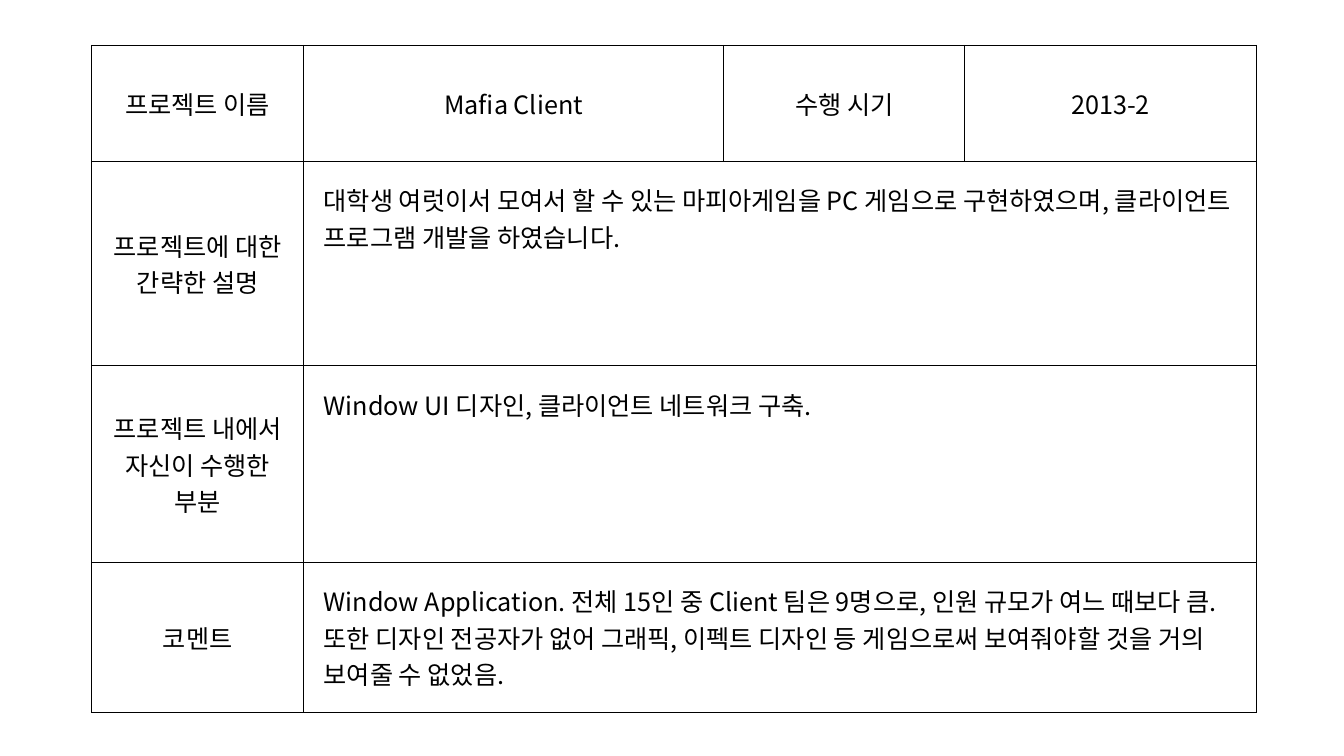
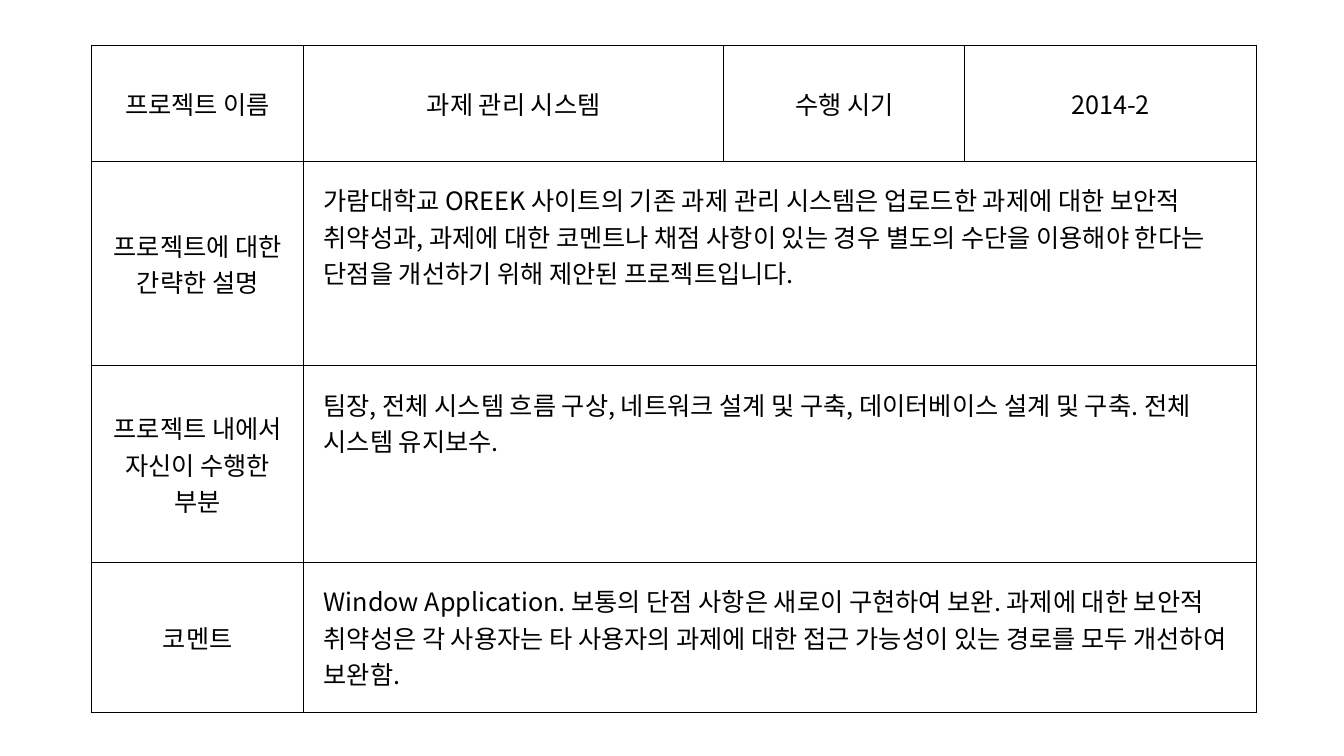
from dataclasses import dataclass

from lxml import etree
from pptx import Presentation
from pptx.dml.color import RGBColor
from pptx.enum import text as t
from pptx.oxml import ns
from pptx.slide import Slide
from pptx.table import Table, _Cell
from pptx.util import Inches, Pt


@dataclass(frozen=True)
class Theme:
    font: str = "Noto Sans CJK KR"
    size: int = 18
    ink: str = "000000"
    paper: str = "FFFFFF"
    border: int = 1


@dataclass(frozen=True)
class Project:
    name: str
    period: str
    summary: str
    role: str
    comment: str


THEME = Theme()
LEFT, TOP = 0.91, 0.45
COLUMNS = (2.1, 4.17, 2.39, 2.89)
ROWS = (1.15, 2.03, 1.95, 1.42)
DETAIL_MARGIN = 0.2

PROJECTS = (
    Project(
        "Mafia Client",
        "2013-2",
        "대학생 여럿이서 모여서 할 수 있는 마피아게임을 PC 게임으로 구현하였으며, "
        "클라이언트 프로그램 개발을 하였습니다.",
        "Window UI 디자인, 클라이언트 네트워크 구축.",
        "Window Application. 전체 15인 중 Client 팀은 9명으로, 인원 규모가 여느 때보다 큼. "
        "또한 디자인 전공자가 없어 그래픽, 이펙트 디자인 등 게임으로써 "
        "보여줘야할 것을 거의 보여줄 수 없었음.",
    ),
    Project(
        "과제 관리 시스템",
        "2014-2",
        "가람대학교 OREEK 사이트의 기존 과제 관리 시스템은 업로드한 과제에 대한 보안적 "
        "취약성과, 과제에 대한 코멘트나 채점 사항이 있는 경우 별도의 수단을 이용해야 한다는 "
        "단점을 개선하기 위해 제안된 프로젝트입니다.",
        "팀장, 전체 시스템 흐름 구상, 네트워크 설계 및 구축, 데이터베이스 설계 및 구축. "
        "전체 시스템 유지보수.",
        "Window Application. 보통의 단점 사항은 새로이 구현하여 보완. 과제에 대한 보안적 "
        "취약성은 각 사용자는 타 사용자의 과제에 대한 접근 가능성이 있는 경로를 모두 "
        "개선하여 보완함.",
    ),
)


def style_cell(cell: _Cell) -> None:
    cell.fill.solid()
    cell.fill.fore_color.rgb = RGBColor.from_string(THEME.paper)
    properties = cell._tc.get_or_add_tcPr()
    for position, side in enumerate(("lnL", "lnR", "lnT", "lnB")):
        edge = etree.Element(ns.qn(f"a:{side}"), w=str(Pt(THEME.border)))
        fill = etree.SubElement(edge, ns.qn("a:solidFill"))
        etree.SubElement(fill, ns.qn("a:srgbClr"), val=THEME.ink)
        properties.insert(position, edge)


def write(cell: _Cell, wording: str, align: t.PP_ALIGN) -> None:
    paragraph = cell.text_frame.paragraphs[0]
    paragraph.alignment = align
    run = paragraph.add_run()
    run.text = wording
    run.font.size = Pt(THEME.size)
    run.font.color.rgb = RGBColor.from_string(THEME.ink)
    run.font.name = THEME.font
    etree.SubElement(run._r.get_or_add_rPr(), ns.qn("a:ea"), typeface=THEME.font)


def write_label(cell: _Cell, wording: str) -> None:
    cell.vertical_anchor = t.MSO_ANCHOR.MIDDLE
    write(cell, wording, t.PP_ALIGN.CENTER)


def write_detail(cell: _Cell, wording: str) -> None:
    cell.vertical_anchor = t.MSO_ANCHOR.TOP
    margin = Inches(DETAIL_MARGIN)
    cell.margin_left = cell.margin_right = margin
    cell.margin_top = cell.margin_bottom = margin
    write(cell, wording, t.PP_ALIGN.LEFT)


def add_grid(slide: Slide) -> Table:
    grid = slide.shapes.add_table(
        len(ROWS), len(COLUMNS), Inches(LEFT), Inches(TOP),
        Inches(sum(COLUMNS)), Inches(sum(ROWS)),
    ).table
    grid.first_row = False
    grid.horz_banding = False
    for column, width in zip(grid.columns, COLUMNS):
        column.width = Inches(width)
    for row, height in zip(grid.rows, ROWS):
        row.height = Inches(height)
        for cell in row.cells:
            style_cell(cell)
    return grid


def add_project(slide: Slide, project: Project) -> None:
    grid = add_grid(slide)
    heading = ("프로젝트 이름", project.name, "수행 시기", project.period)
    for column, wording in enumerate(heading):
        write_label(grid.cell(0, column), wording)
    sections = (
        ("프로젝트에 대한 간략한 설명", project.summary),
        ("프로젝트 내에서 자신이 수행한 부분", project.role),
        ("코멘트", project.comment),
    )
    for row, (label, detail) in enumerate(sections, start=1):
        write_label(grid.cell(row, 0), label)
        detail_cell = grid.cell(row, 1)
        detail_cell.merge(grid.cell(row, len(COLUMNS) - 1))
        write_detail(detail_cell, detail)


def main() -> None:
    deck = Presentation()
    deck.slide_width = Inches(13.33)
    deck.slide_height = Inches(7.5)
    blank = deck.slide_layouts[6]
    for project in PROJECTS:
        add_project(deck.slides.add_slide(blank), project)
    deck.save("out.pptx")


if __name__ == "__main__":
    main()
